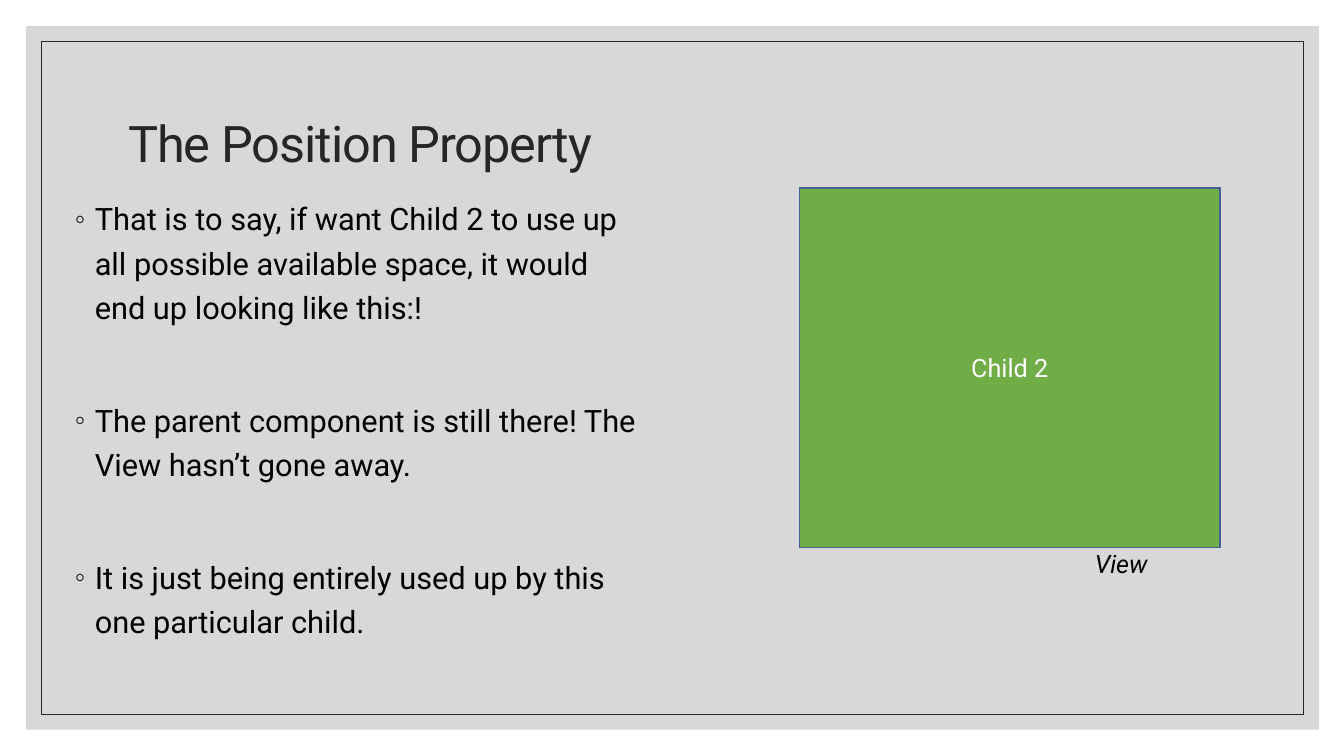
from dataclasses import dataclass

from lxml.etree import SubElement
from pptx import Presentation
from pptx.dml.color import RGBColor
from pptx.enum.shapes import MSO_SHAPE
from pptx.enum.text import MSO_ANCHOR, MSO_AUTO_SIZE, PP_ALIGN
from pptx.oxml.ns import qn
from pptx.shapes.autoshape import Shape
from pptx.slide import Slide
from pptx.text.text import _Paragraph as Paragraph
from pptx.text.text import _Run as Run
from pptx.util import Inches, Pt

FONT = "Roboto"
COLORS = {
    "panel": "BFBFBF",
    "dark": "262626",
    "text": "000000",
    "white": "FFFFFF",
    "child": "70AD47",
    "outline": "436096",
}
BULLETS = [
    "That is to say, if want Child 2 to use up all possible available space, "
    "it would end up looking like this:!",
    "The parent component is still there! The View hasn’t gone away.",
    "It is just being entirely used up by this one particular child.",
]


@dataclass(frozen=True)
class Area:
    left: float
    top: float
    width: float
    height: float


@dataclass(frozen=True)
class Rectangle:
    area: Area
    fill: str | None = None
    line: str | None = None
    line_width: float = 1
    opacity: int = 100


PANELS = [
    Rectangle(Area(0.26, 0.26, 12.82, 6.98), fill="panel", opacity=60),
    Rectangle(Area(0.41, 0.41, 12.52, 6.68), line="dark", line_width=0.5),
]
VIEW = Rectangle(Area(7.93, 1.86, 4.17, 3.57), "white", "outline")
CHILD = Rectangle(Area(7.93, 1.87, 4.17, 3.56), "child", "outline")


def color(name: str) -> RGBColor:
    return RGBColor.from_string(COLORS[name])


def place(shape: Shape, area: Area) -> None:
    shape.left, shape.top = Inches(area.left), Inches(area.top)
    shape.width, shape.height = Inches(area.width), Inches(area.height)


def add_rectangle(page: Slide, rectangle: Rectangle) -> Shape:
    shape = page.shapes.add_shape(MSO_SHAPE.RECTANGLE, 0, 0, 0, 0)
    place(shape, rectangle.area)
    shape.shadow.inherit = False
    if rectangle.fill:
        shape.fill.solid()
        shape.fill.fore_color.rgb = color(rectangle.fill)
        if rectangle.opacity < 100:
            value = shape.element.spPr.find(f"{qn('a:solidFill')}/{qn('a:srgbClr')}")
            SubElement(value, qn("a:alpha"), val=str(rectangle.opacity * 1000))
    else:
        shape.fill.background()
    if rectangle.line:
        shape.line.color.rgb = color(rectangle.line)
        shape.line.width = Pt(rectangle.line_width)
    else:
        shape.line.fill.background()
    return shape


def add_span(para: Paragraph, text: str, size: int, color_name: str) -> Run:
    span = para.add_run()
    span.text = text
    span.font.name = FONT
    span.font.size = Pt(size)
    span.font.color.rgb = color(color_name)
    return span


def add_bullet(para: Paragraph) -> None:
    properties = para._p.get_or_add_pPr()
    properties.set("marL", str(Inches(0.2)))
    properties.set("indent", str(-Inches(0.2)))
    bullet_color = SubElement(properties, qn("a:buClr"))
    SubElement(bullet_color, qn("a:srgbClr"), val=COLORS["dark"])
    SubElement(properties, qn("a:buChar"), char="◦")


def add_title(page: Slide) -> None:
    title = page.shapes.title
    place(title, Area(1.17, 0.7, 11, 1.5))
    frame = title.text_frame
    frame.auto_size = MSO_AUTO_SIZE.NONE
    frame.vertical_anchor = MSO_ANCHOR.MIDDLE
    para = frame.paragraphs[0]
    para.alignment = PP_ALIGN.LEFT
    para.line_spacing = 0.9
    span = add_span(para, "The Position Property", 36, "dark")
    span.font._element.set("spc", "-70")


def add_body(page: Slide) -> None:
    body = page.placeholders[1]
    place(body, Area(0.64, 1.86, 5.83, 4.94))
    frame = body.text_frame
    frame.auto_size = MSO_AUTO_SIZE.NONE
    frame.vertical_anchor = MSO_ANCHOR.TOP
    for index, text in enumerate(BULLETS):
        para = frame.add_paragraph() if index else frame.paragraphs[0]
        add_bullet(para)
        para.line_spacing = 1.2
        para.space_before = Pt(49 if index else 0)
        add_span(para, text, 22, "text")


def add_diagram(page: Slide) -> None:
    """Draw the view, its label and the child that covers it."""
    add_rectangle(page, VIEW)

    label = page.shapes.add_textbox(0, 0, 0, 0)
    place(label, Area(10.76, 5.39, 0.77, 0.4))
    label.text_frame.word_wrap = False
    label.text_frame.auto_size = MSO_AUTO_SIZE.SHAPE_TO_FIT_TEXT
    add_span(label.text_frame.paragraphs[0], "View", 18, "text").font.italic = True

    child = add_rectangle(page, CHILD)
    child.text_frame.vertical_anchor = MSO_ANCHOR.MIDDLE
    para = child.text_frame.paragraphs[0]
    para.alignment = PP_ALIGN.CENTER
    add_span(para, "Child 2", 18, "white")


def main() -> None:
    deck = Presentation()
    deck.slide_width, deck.slide_height = Inches(13.33), Inches(7.5)
    page = deck.slides.add_slide(deck.slide_layouts[1])
    for panel in PANELS:
        shape = add_rectangle(page, panel)
        page.shapes.title.element.addprevious(shape.element)
    add_title(page)
    add_body(page)
    add_diagram(page)
    deck.save("out.pptx")


if __name__ == "__main__":
    main()
